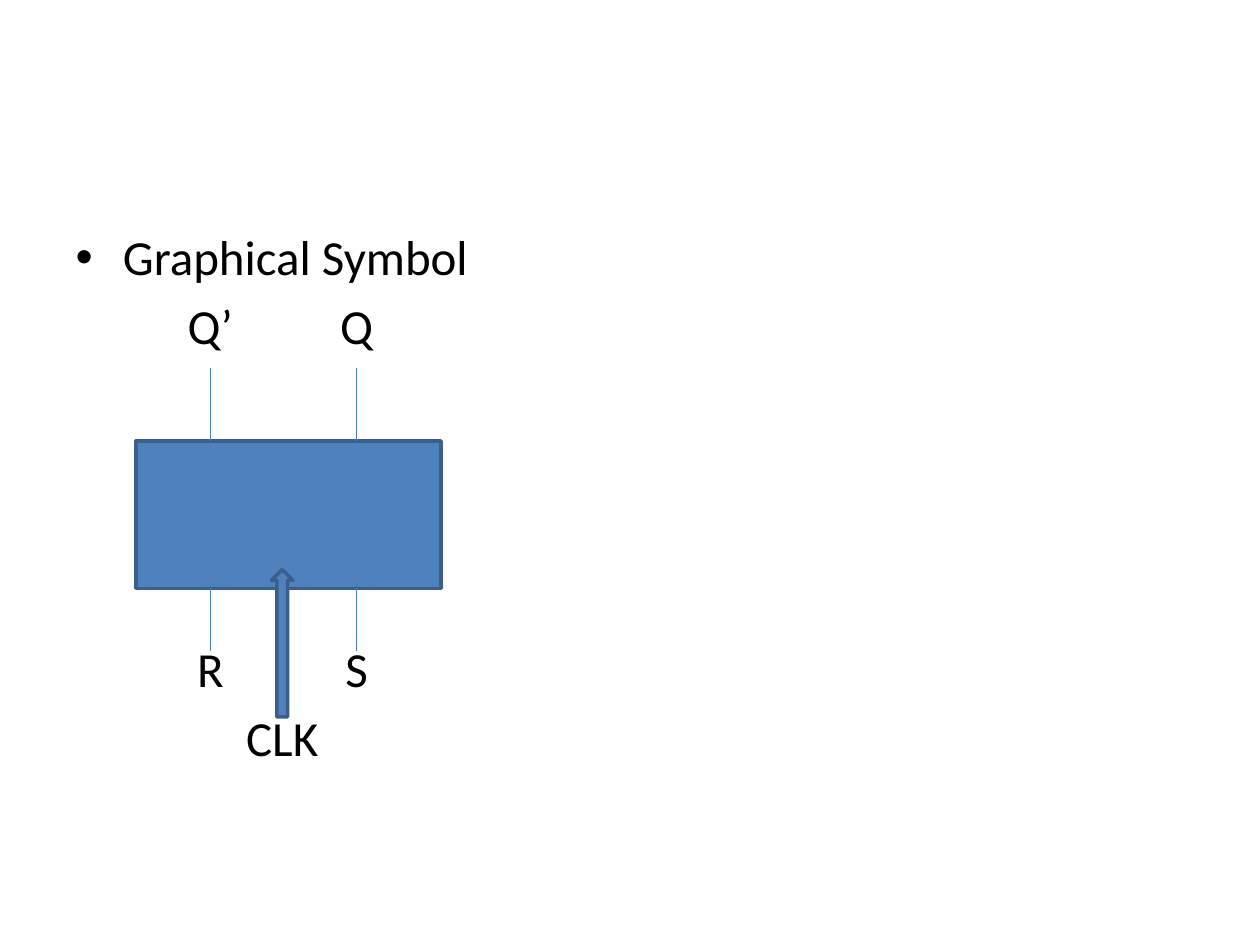
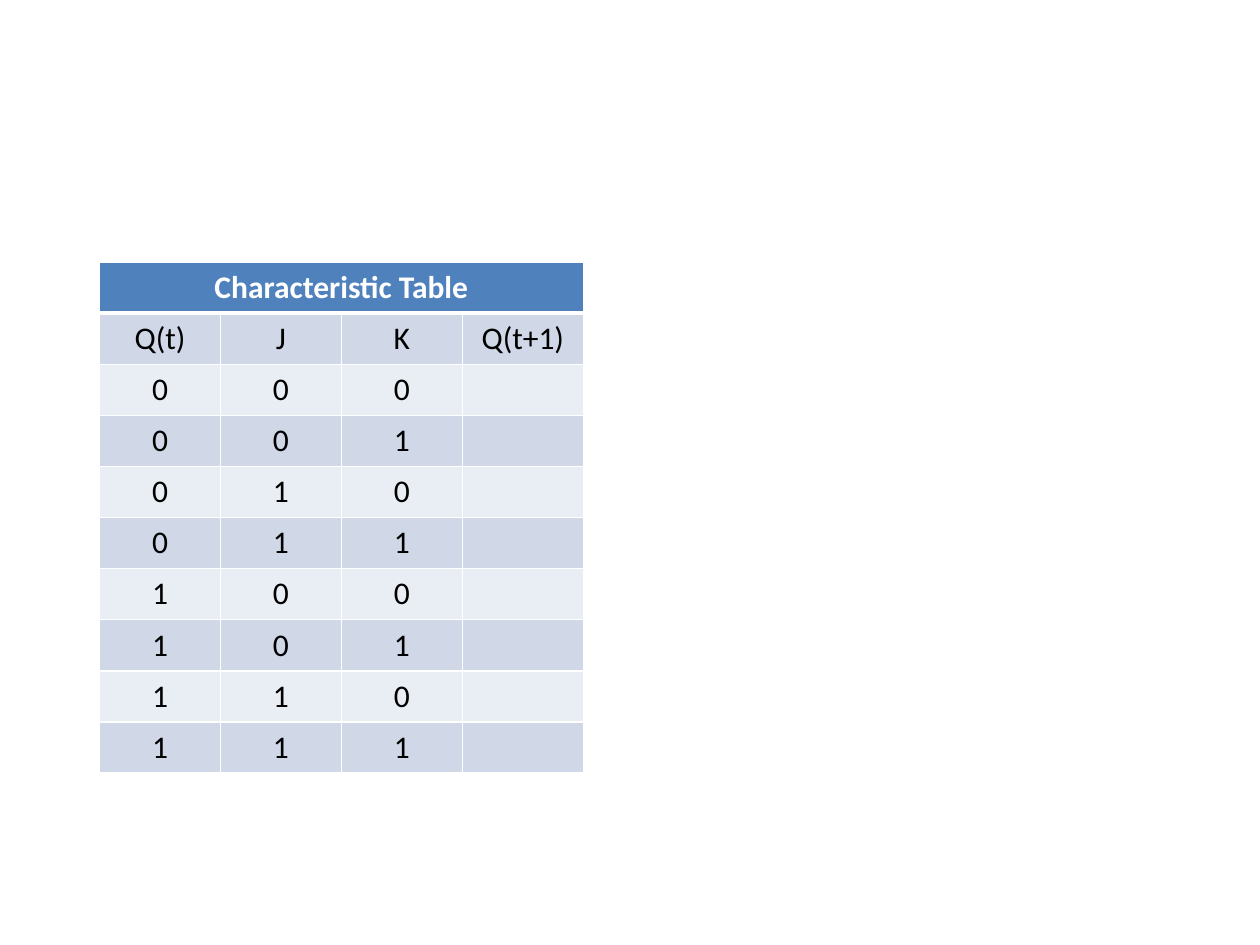
from itertools import product

from lxml.etree import SubElement
from pptx import Presentation
from pptx.dml.color import RGBColor
from pptx.enum.shapes import MSO_CONNECTOR, MSO_SHAPE
from pptx.enum.text import MSO_ANCHOR, PP_ALIGN
from pptx.oxml.ns import qn
from pptx.util import Inches, Pt

FONT = "Calibri"
COLORS = {
    "text": "000000",
    "white": "FFFFFF",
    "blue": "4F81BD",
    "outline": "3A5F8C",
    "wire": "4B7EBC",
    "band_dark": "D0D8E8",
    "band_light": "E9EDF4",
}

# Flip-flop symbol, in inches
BODY_LEFT, BODY_TOP, BODY_WIDTH, BODY_HEIGHT = 1.08, 3.5, 2.42, 1.17
LEFT_PIN, CLOCK_PIN, RIGHT_PIN = 1.67, 2.24, 2.83
FIRST_LINE, LINE_PITCH = 1.8, 0.545


def color(name):
    return RGBColor.from_string(COLORS[name])


def add_run(paragraph, text, size, color_name="text", bold=False):
    run = paragraph.add_run()
    run.text = text
    run.font.name = FONT
    run.font.size = Pt(size)
    run.font.bold = bold
    run.font.color.rgb = color(color_name)


def add_heading(slide, text):
    heading = slide.placeholders[1]
    heading.left, heading.top = Inches(0.5), Inches(1.75)
    heading.width, heading.height = Inches(4.42), Inches(4.95)
    paragraph = heading.text_frame.paragraphs[0]
    paragraph.space_before = Pt(0)
    add_run(paragraph, text, 28)


def add_block(slide, preset, left, top, width, height):
    block = slide.shapes.add_shape(
        preset, Inches(left), Inches(top), Inches(width), Inches(height))
    block.shadow.inherit = False
    block.fill.solid()
    block.fill.fore_color.rgb = color("blue")
    block.line.color.rgb = color("outline")
    block.line.width = Pt(2)


def add_wire(slide, x, top, bottom):
    wire = slide.shapes.add_connector(
        MSO_CONNECTOR.STRAIGHT, Inches(x), Inches(top), Inches(x), Inches(bottom))
    wire.line.color.rgb = color("wire")
    wire.line.width = Pt(0.75)
    SubElement(wire._element.spPr, qn("a:effectLst"))


def add_pin_label(slide, text, center, line):
    """Centre a label on a pin, on the given line below the heading."""
    width = 1
    label = slide.shapes.add_textbox(
        Inches(center - width / 2), Inches(FIRST_LINE + line * LINE_PITCH),
        Inches(width), Inches(0.48))
    frame = label.text_frame
    frame.word_wrap = True
    frame.margin_left = frame.margin_right = 0
    frame.margin_top = frame.margin_bottom = 0
    paragraph = frame.paragraphs[0]
    paragraph.alignment = PP_ALIGN.CENTER
    add_run(paragraph, text, 28)


def set_borders(cell, top, bottom):
    properties = cell._tc.get_or_add_tcPr()
    for side, points in (("lnL", 1), ("lnR", 1), ("lnT", top), ("lnB", bottom)):
        border = SubElement(properties, qn(f"a:{side}"), w=str(Pt(points)))
        fill = SubElement(border, qn("a:solidFill"))
        SubElement(fill, qn("a:srgbClr"), val=COLORS["white"])


def add_characteristic_table(slide, title, headings, states):
    rows = [[title] + [""] * (len(headings) - 1), headings, *states]
    row_height, column_width = 0.4, 0.96
    table = slide.shapes.add_table(
        len(rows), len(headings), Inches(0.79), Inches(2.08),
        Inches(column_width * len(headings)),
        Inches(row_height * len(rows))).table
    table.cell(0, 0).merge(table.cell(0, len(headings) - 1))
    for row, values in enumerate(rows):
        is_title = row == 0
        band = "blue" if is_title else "band_dark" if row % 2 else "band_light"
        for column, value in enumerate(values):
            cell = table.cell(row, column)
            set_borders(cell, top=3 if row == 1 else 1, bottom=3 if is_title else 1)
            cell.fill.solid()
            cell.fill.fore_color.rgb = color(band)
            cell.vertical_anchor = MSO_ANCHOR.MIDDLE
            paragraph = cell.text_frame.paragraphs[0]
            paragraph.alignment = PP_ALIGN.CENTER
            if value:
                add_run(paragraph, value, 18, "white" if is_title else "text", is_title)


def build_symbol_slide(deck):
    slide = deck.slides.add_slide(deck.slide_layouts[1])
    empty_title = slide.shapes.title._element
    empty_title.getparent().remove(empty_title)
    add_heading(slide, "Graphical Symbol")

    # Flip-flop body with its outputs above and inputs below
    add_block(slide, MSO_SHAPE.RECTANGLE, BODY_LEFT, BODY_TOP, BODY_WIDTH, BODY_HEIGHT)
    body_bottom = BODY_TOP + BODY_HEIGHT
    for pin, output, data_input in ((LEFT_PIN, "Q’", "R"), (RIGHT_PIN, "Q", "S")):
        add_wire(slide, pin, 2.92, BODY_TOP)
        add_wire(slide, pin, body_bottom, 5.17)
        add_pin_label(slide, output, pin, 1)
        add_pin_label(slide, data_input, pin, 6)

    # Clock input
    arrow_width = 0.17
    add_block(slide, MSO_SHAPE.UP_ARROW, CLOCK_PIN - arrow_width / 2, 4.52,
              arrow_width, 1.17)
    add_pin_label(slide, "CLK", CLOCK_PIN, 7)


def build_table_slide(deck):
    slide = deck.slides.add_slide(deck.slide_layouts[6])
    # The next state is left open for every combination
    states = [[*bits, ""] for bits in product("01", repeat=3)]
    add_characteristic_table(
        slide, "Characteristic Table", ["Q(t)", "J", "K", "Q(t+1)"], states)


def main():
    deck = Presentation()
    deck.slide_width, deck.slide_height = Inches(10), Inches(7.5)
    build_symbol_slide(deck)
    build_table_slide(deck)
    deck.save("out.pptx")


if __name__ == "__main__":
    main()
